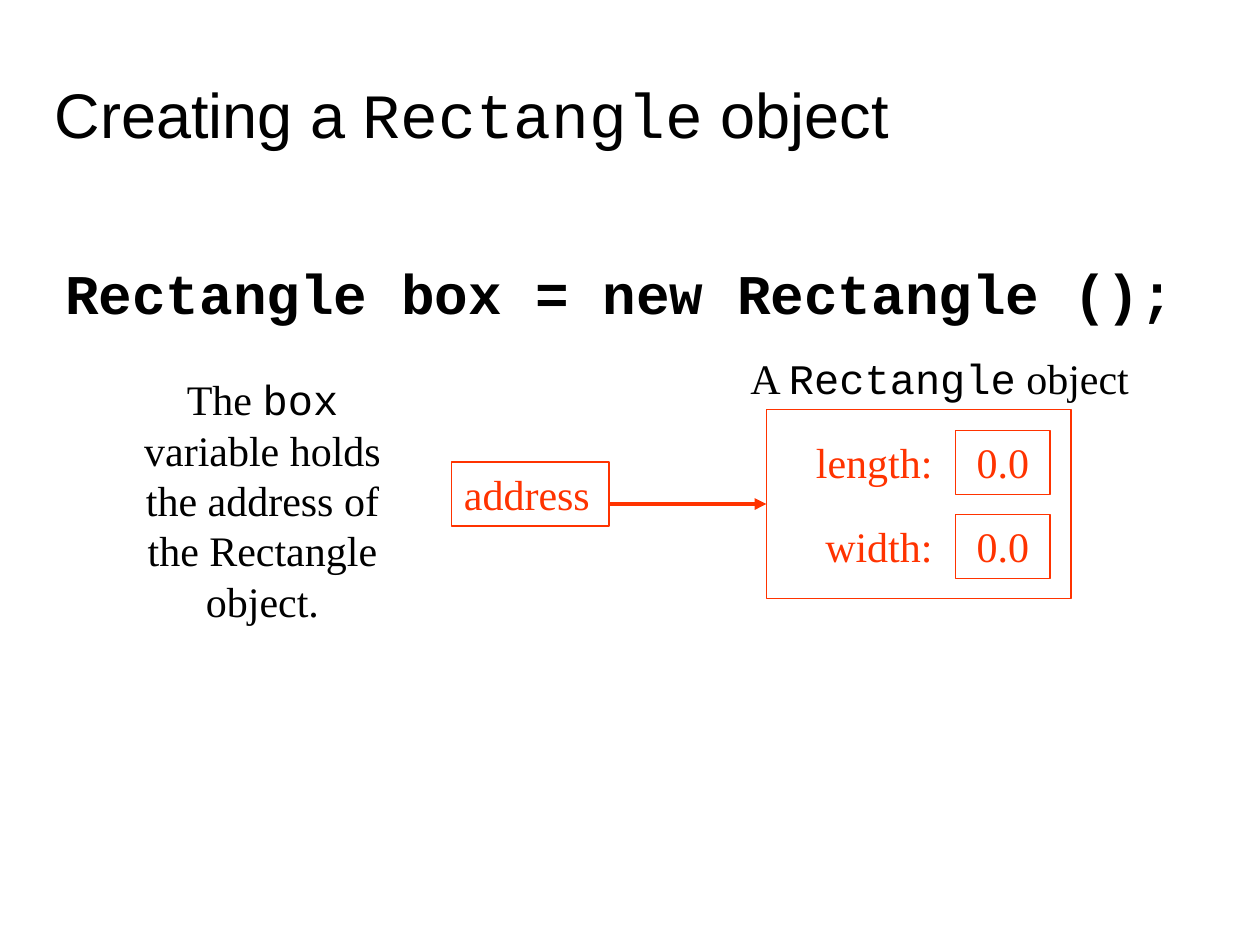
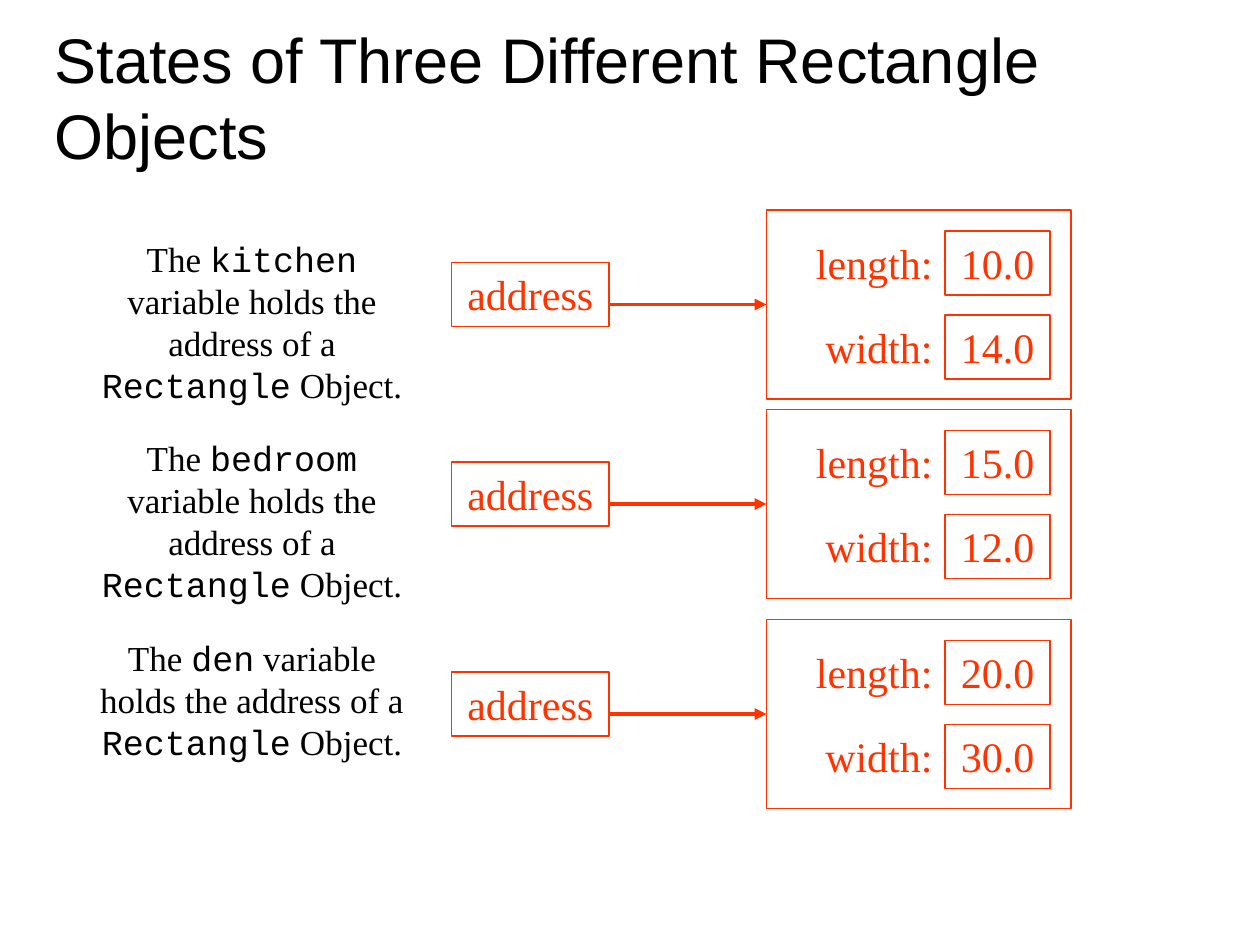
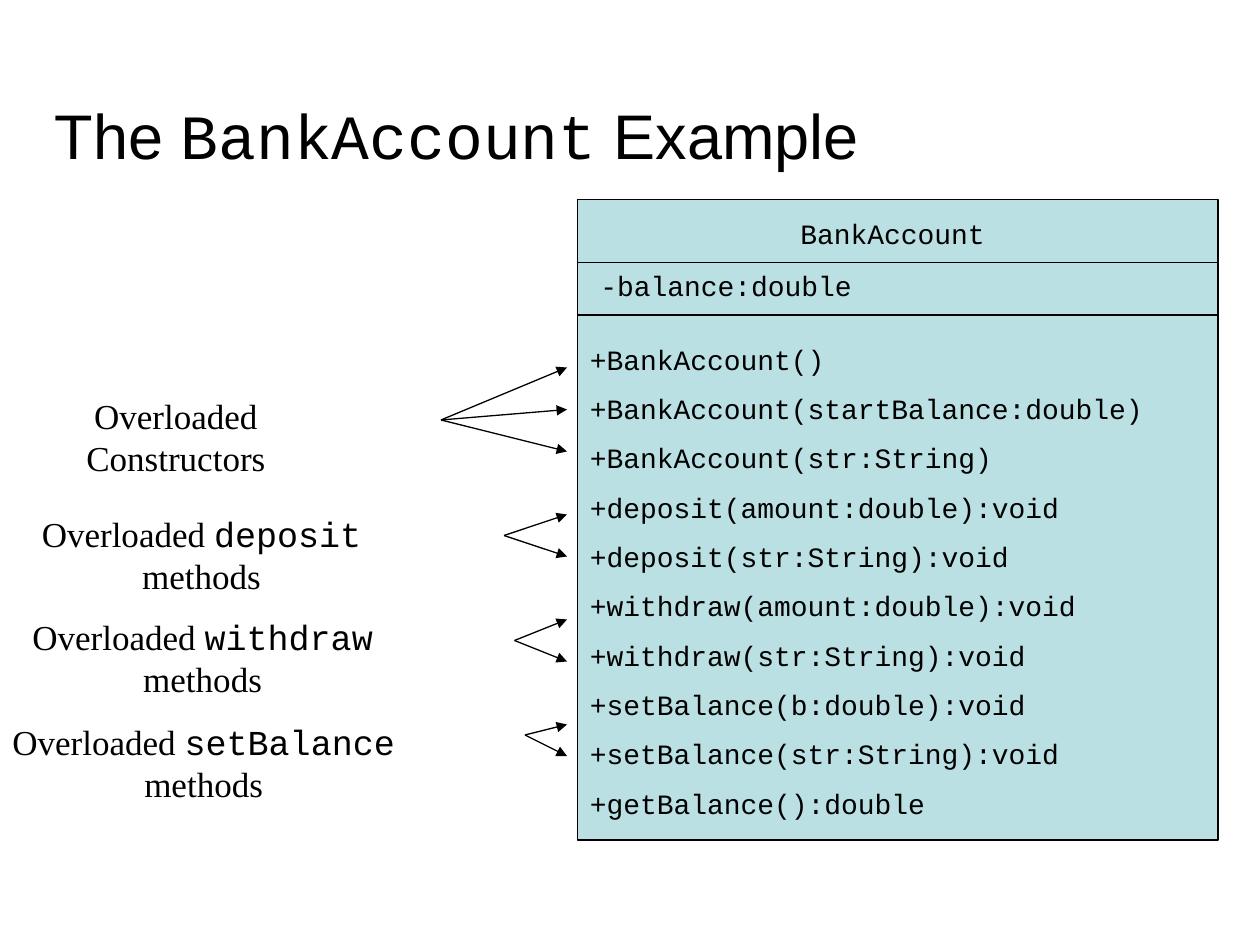
from lxml import etree
from pptx import Presentation
from pptx import util as u
from pptx.dml import color
from pptx.enum import shapes, text
from pptx.oxml import ns

SCALE = 7620
COLORS = {"ink": "000000", "memory": "FF3300", "panel": "BBE0E3"}
TITLE_FONT, TEXT_FONT, CODE_FONT = "Arial", "Times New Roman", "Courier New"
LEFT, CENTER, RIGHT = text.PP_ALIGN.LEFT, text.PP_ALIGN.CENTER, text.PP_ALIGN.RIGHT
TITLE_AND_BODY, TITLE_ONLY = 1, 5
WIDE_TITLE = (40, 40, 1130, 130)


def px(*lengths):
    return [u.Emu(length * SCALE) for length in lengths]


def rgb(name):
    return color.RGBColor.from_string(COLORS[name])


class Board:
    def __init__(self):
        self.deck = Presentation()
        self.deck.slide_width, self.deck.slide_height = px(1200, 900)
        self.page = None

    def start(self, layout, title, place):
        self.page = self.deck.slides.add_slide(self.deck.slide_layouts[layout])
        box = self.page.shapes.title
        self.place(box, place)
        self.fill_text(box, [title], 36, font=TITLE_FONT, anchor=text.MSO_ANCHOR.BOTTOM)

    def place(self, box, place):
        box.left, box.top, box.width, box.height = px(*place)

    def fill_text(self, box, lines, size, ink="ink", align=LEFT, font=TEXT_FONT,
                  anchor=text.MSO_ANCHOR.TOP, bold=False, gap=0):
        frame = box.text_frame
        frame.word_wrap = True
        frame.auto_size = text.MSO_AUTO_SIZE.NONE
        frame.vertical_anchor = anchor
        for number, line in enumerate(lines):
            para = frame.add_paragraph() if number else frame.paragraphs[0]
            para.alignment = align
            para.space_before = u.Pt(gap if number else 0)
            for turn, piece in enumerate(line.split("`")):
                if piece:
                    span = para.add_run()
                    span.text = piece
                    span.font.name = CODE_FONT if turn % 2 else font
                    span.font.size = u.Pt(size)
                    span.font.bold = bold
                    span.font.color.rgb = rgb(ink)

    def body(self, line, place):
        box = self.page.placeholders[1]
        self.place(box, place)
        box.text_frame.margin_right = 0
        para = box.text_frame.paragraphs[0]
        etree.SubElement(para._p.get_or_add_pPr(), ns.qn("a:buNone"))
        self.fill_text(box, [line], 32, bold=True)

    def label(self, lines, place, size, **style):
        box = self.page.shapes.add_textbox(*px(*place))
        self.fill_text(box, lines, size, **style)
        return box

    def rect(self, place, line, fill=None):
        box = self.page.shapes.add_shape(shapes.MSO_SHAPE.RECTANGLE, *px(*place))
        box.shadow.inherit = False
        box.line.color.rgb = rgb(line)
        box.line.width = u.Pt(0.75)
        if fill:
            box.fill.solid()
            box.fill.fore_color.rgb = rgb(fill)
        else:
            box.fill.background()
        return box

    def line(self, start, end, ink="ink", width=0.75, arrow=False):
        link = self.page.shapes.add_connector(
            shapes.MSO_CONNECTOR.STRAIGHT, *px(*start, *end))
        link.line.color.rgb = rgb(ink)
        link.line.width = u.Pt(width)
        if arrow:
            etree.SubElement(link.line._get_or_add_ln(), ns.qn("a:tailEnd"), type="triangle")
        etree.SubElement(link._element.spPr, ns.qn("a:effectLst"))

    def cell(self, content, place, align=CENTER):
        self.fill_text(self.rect(place, "memory"), [content], 24, ink="memory", align=align)

    def memory(self, top, length, width, value_width=100, align=CENTER):
        self.cell("address", (430, top + 50, 150, 61), align)
        for name, value, y in (("length:", length, top + 20), ("width:", width, top + 100)):
            self.cell(value, (1000 - value_width, y, value_width, 61))
            self.label([name], (750, y, 150, 60), 24, ink="memory", align=RIGHT)
        self.rect((730, top, 290, 180), "memory")
        self.line((580, top + 90), (730, top + 90), "memory", 2.25, arrow=True)

    def callout(self, content, place, right_inset, start, targets):
        box = self.label([content], place, 20, align=CENTER)
        box.text_frame.margin_left, box.text_frame.margin_right = px(5, right_inset)
        for y in targets:
            self.line(start, (540, y), arrow=True)


def creating_slide(board):
    board.start(TITLE_AND_BODY, "Creating a `Rectangle` object", (40, 0, 1020, 150))
    board.body("`Rectangle box = new Rectangle ();`", (50, 240, 1090, 90))
    board.memory(390, "0.0", "0.0", value_width=90, align=LEFT)
    board.label(["The `box `variable holds the address of the Rectangle object."],
                (110, 350, 280, 252), 24, align=CENTER)
    board.label(["A `Rectangle` object"], (660, 330, 470, 60), 24, align=CENTER)


def states_slide(board):
    board.start(TITLE_ONLY, "States of Three Different Rectangle Objects", WIDE_TITLE)
    rooms = (("kitchen", 200, 220, "10.0", "14.0"),
             ("bedroom", 390, 410, "15.0", "12.0"),
             ("den", 590, 600, "20.0", "30.0"))
    for room, top, note_top, length, width in rooms:
        board.memory(top, length, width)
        board.label([f"The `{room}` variable holds the address of a `Rectangle` Object."],
                    (70, note_top, 340, 132), 20, align=CENTER)


def account_slide(board):
    board.start(TITLE_ONLY, "The `BankAccount` Example", WIDE_TITLE)
    board.rect((550, 190, 610, 610), "ink", "panel")
    board.label(["`BankAccount`"], (550, 200, 600, 44), 16, align=CENTER)
    board.label(["`-balance:double`"], (560, 250, 540, 44), 16)
    for y in (250, 300):
        board.line((550, y), (1160, y))
    methods = ("BankAccount()", "BankAccount(startBalance:double)", "BankAccount(str:String)",
               "deposit(amount:double):void", "deposit(str:String):void",
               "withdraw(amount:double):void", "withdraw(str:String):void",
               "setBalance(b:double):void", "setBalance(str:String):void",
               "getBalance():double")
    board.label([f"`+{method}`" for method in methods], (550, 320, 610, 478), 16, gap=9)
    callouts = (
        ("Constructors", (70, 370, 358, 52), 168, (420, 400), (350, 390, 430)),
        ("`deposit` methods", (28, 482, 449, 52), 126, (480, 510), (490, 530)),
        ("`withdraw` methods", (19, 580, 469, 52), 126, (490, 610), (590, 630)),
        ("`setBalance` methods", (0, 680, 509, 52), 126, (500, 700), (690, 720)))
    for subject, *layout in callouts:
        board.callout(f"Overloaded {subject}", *layout)


def main():
    board = Board()
    creating_slide(board)
    states_slide(board)
    account_slide(board)
    board.deck.save("out.pptx")


if __name__ == "__main__":
    main()
